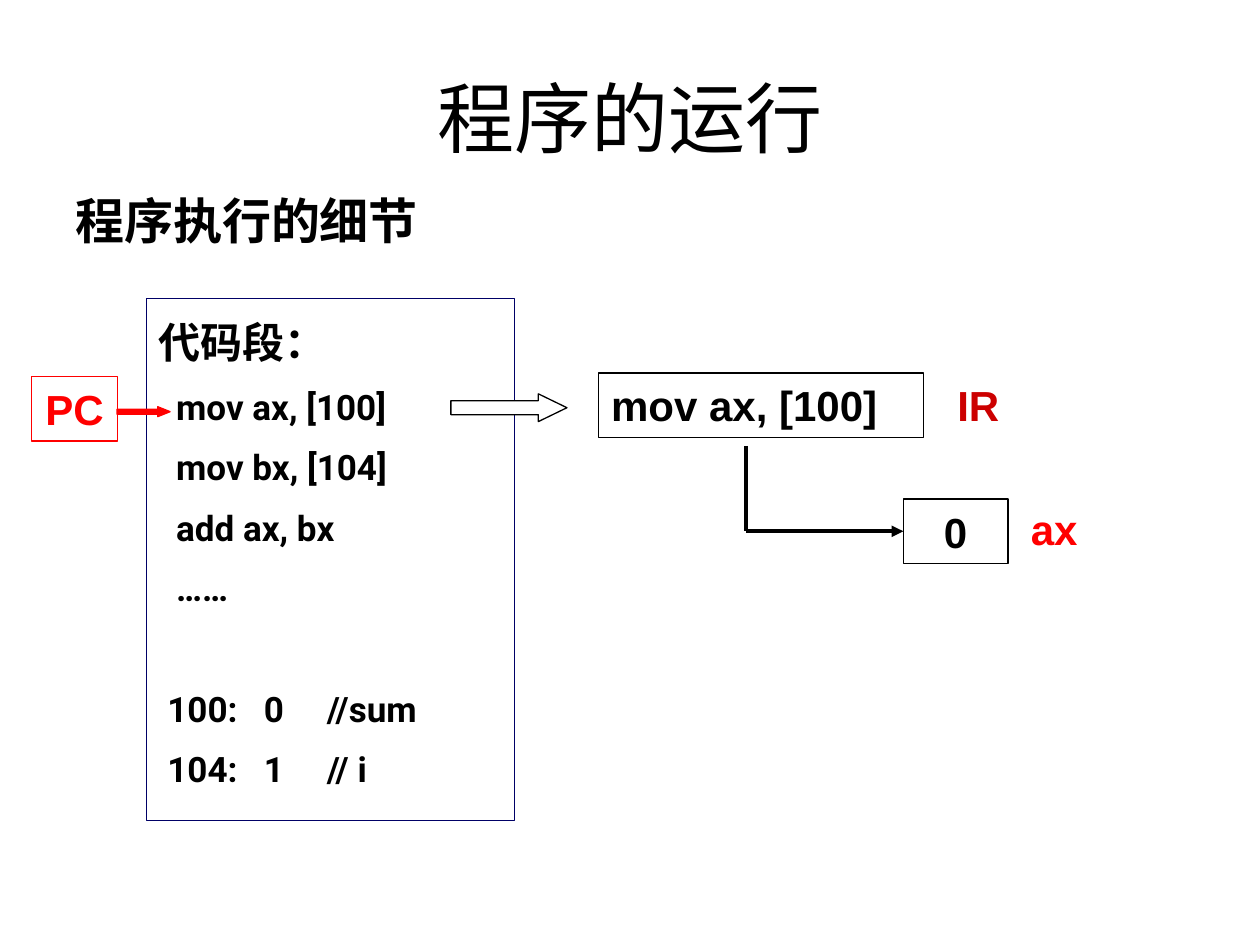
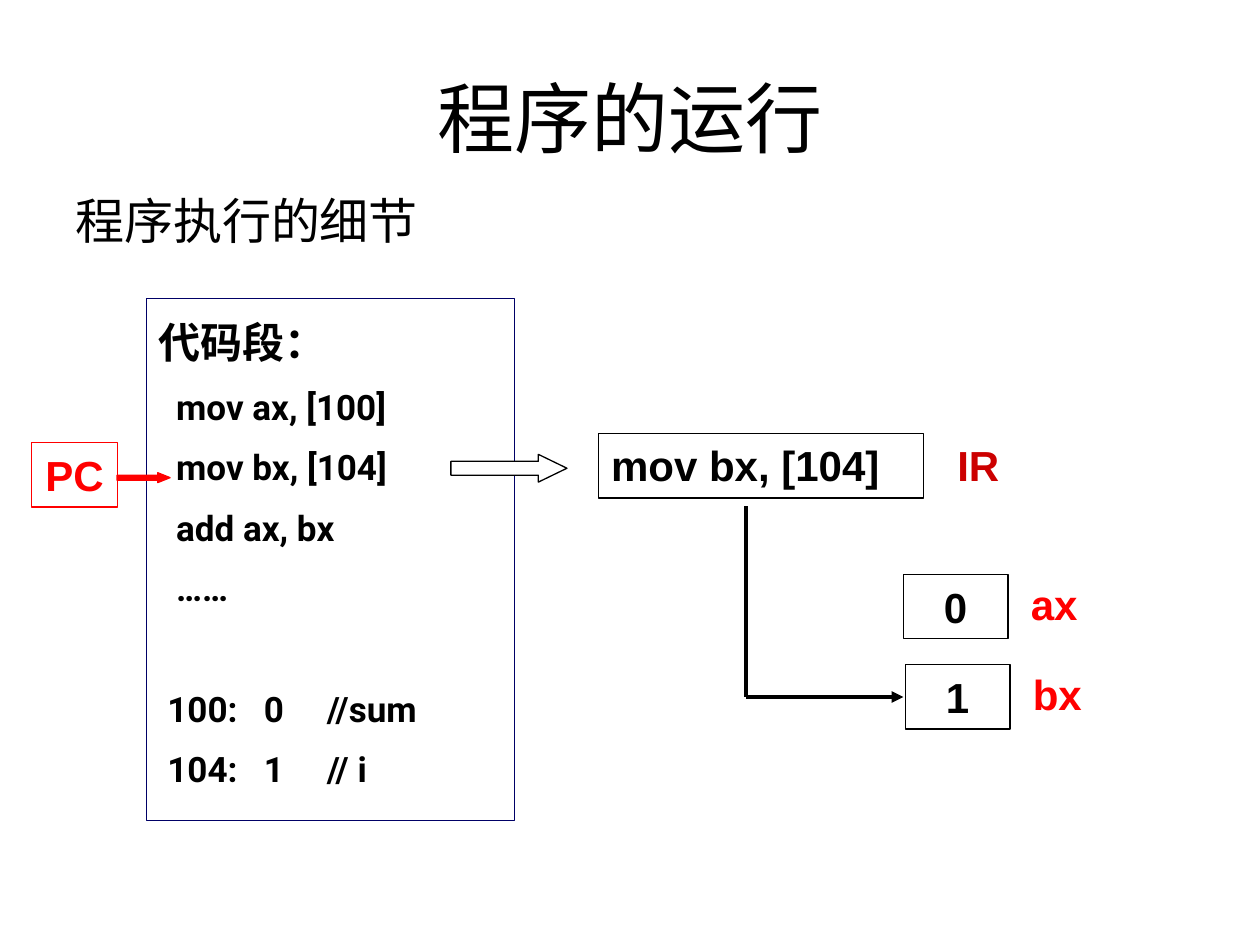
from dataclasses import dataclass

from lxml import etree
from pptx import Presentation, util as u
from pptx.dml.color import RGBColor
from pptx.enum import shapes, text
from pptx.oxml.ns import qn

Cm, Pt = u.Cm, u.Pt
CENTER, LEFT = text.PP_ALIGN.CENTER, text.PP_ALIGN.LEFT
TOP, MIDDLE = text.MSO_ANCHOR.TOP, text.MSO_ANCHOR.MIDDLE


@dataclass(frozen=True)
class Theme:
    black: str = "000000"
    white: str = "FFFFFF"
    navy: str = "000066"
    red: str = "FF0000"
    dark_red: str = "CC0000"
    sans: str = "Arial"
    serif: str = "Times New Roman"
    code: str = "Roboto"
    chinese: str = "Noto Sans CJK SC"
    title_size: int = 44
    subtitle_size: int = 28
    label_size: int = 24
    code_size: int = 20
    thin: float = 0.75
    thick: float = 2.25


THEME = Theme()
BOX_HEIGHT = 1.3
ROW_GAP = 10.6
ROW_PITCH = 34.05
INSTRUCTIONS = ["  mov ax, [100]", "  mov bx, [104]", "  add ax, bx", "  ……"]
MEMORY = [" 100:\t0\t//sum", " 104:\t1\t// i"]
MEMORY_TABS = [2.12, 3.39]


def rgb(value):
    return RGBColor.from_string(value)


def format_runs(paragraph, size, color=THEME.black, font=THEME.sans, bold=True):
    for run in paragraph.runs:
        run.font.size = Pt(size)
        run.font.bold = bold
        run.font.name = font
        run.font.color.rgb = rgb(color)
        east_asian = etree.Element(qn("a:ea"), typeface=THEME.chinese)
        run.font._element.find(qn("a:latin")).addnext(east_asian)


def write(frame, wording, align=LEFT, anchor=TOP, wrap=True,
          size=THEME.label_size, **style):
    frame.word_wrap = wrap
    frame.vertical_anchor = anchor
    frame.text = wording
    frame.paragraphs[0].alignment = align
    format_runs(frame.paragraphs[0], size, **style)


def add_label(slide, wording, left, top, width=2.54, height=1.27, **style):
    label = slide.shapes.add_textbox(Cm(left), Cm(top), Cm(width), Cm(height))
    write(label.text_frame, wording, **style)
    return label


def add_outline(slide, left, top, width, height, line=THEME.black, fill=None,
                kind=shapes.MSO_SHAPE.RECTANGLE):
    outline = slide.shapes.add_shape(kind, Cm(left), Cm(top), Cm(width), Cm(height))
    outline.shadow.inherit = False
    outline.line.color.rgb = rgb(line)
    outline.line.width = Pt(THEME.thin)
    if fill:
        outline.fill.solid()
        outline.fill.fore_color.rgb = rgb(fill)
    else:
        outline.fill.background()
    return outline


def add_block_arrow(slide, left, top, width, height, head, **colors):
    arrow = add_outline(slide, left, top, width, height,
                        kind=shapes.MSO_SHAPE.RIGHT_ARROW, **colors)
    arrow.adjustments[0] = 0.5
    arrow.adjustments[1] = head


def add_line(slide, start, end, arrowhead=False):
    line = slide.shapes.add_connector(
        shapes.MSO_CONNECTOR.STRAIGHT, *(Cm(v) for v in (*start, *end)))
    line.line.color.rgb = rgb(THEME.black)
    line.line.width = Pt(THEME.thick)
    if arrowhead:
        etree.SubElement(line.line._get_or_add_ln(), qn("a:tailEnd"), type="triangle")
    etree.SubElement(line._element.spPr, qn("a:effectLst"))


def add_headings(slide, subtitle_bold):
    add_label(slide, "程序的运行", 1.27, 0.76, 22.86, 3.18, align=CENTER, anchor=MIDDLE,
              size=THEME.title_size, font=THEME.chinese, bold=False)
    add_label(slide, "程序执行的细节", 1.27, 3.63, 22.86, 1.6, anchor=MIDDLE,
              size=THEME.subtitle_size, font=THEME.serif, bold=subtitle_bold)


def add_memory_tabs(paragraph):
    tabs = etree.SubElement(paragraph._p.get_or_add_pPr(), qn("a:tabLst"))
    for position in MEMORY_TABS:
        etree.SubElement(tabs, qn("a:tab"), pos=str(Cm(position)), algn="l")


def add_code_segment(slide):
    add_outline(slide, 2.95, 6.02, 7.42, 10.52, line=THEME.navy, fill=THEME.white)
    frame = add_label(slide, "代码段：", 2.95, 6.25, 8.89, 10.16).text_frame
    for row in INSTRUCTIONS + MEMORY:
        paragraph = frame.add_paragraph()
        paragraph.text = row
        if row in MEMORY:
            add_memory_tabs(paragraph)
        extra = ROW_PITCH if row == MEMORY[0] else 0
        paragraph.space_before = Pt(ROW_GAP + extra)
        format_runs(paragraph, THEME.code_size, font=THEME.code)


def add_program_counter(slide, top):
    counter = add_outline(slide, 0.64, top, 1.73, BOX_HEIGHT, line=THEME.red)
    write(counter.text_frame, "PC", align=CENTER, anchor=MIDDLE, wrap=False,
          color=THEME.red)
    add_block_arrow(slide, 2.36, top + 0.61, 1.07, 0.2, head=1.25,
                    line=THEME.red, fill=THEME.red)


def add_instruction_register(slide, instruction, top):
    add_block_arrow(slide, 9.09, top + 0.42, 2.34, 0.56, head=1.03, fill=THEME.white)
    register = add_outline(slide, 12.07, top, 6.55, BOX_HEIGHT)
    write(register.text_frame, instruction)
    add_label(slide, "IR", 19.05, top, color=THEME.dark_red)


def add_data_register(slide, name, value, top, left=18.21):
    register = add_outline(slide, left, top, 2.11, BOX_HEIGHT)
    write(register.text_frame, value, align=CENTER, anchor=MIDDLE)
    add_label(slide, name, left + 2.32, top - 0.04, color=THEME.red)


def add_load_path(slide, instruction_top, register_top):
    """Elbow from the instruction register to the register it loads."""
    corner = (15.04, register_top + 0.65)
    add_line(slide, (15.04, instruction_top + 1.47), corner)
    add_line(slide, corner, (18.21, corner[1]), arrowhead=True)


def add_step(deck, subtitle_bold, counter_top, instruction, instruction_top, registers):
    """One execution step; the last register is the one being loaded."""
    slide = deck.slides.add_slide(deck.slide_layouts[6])
    add_headings(slide, subtitle_bold)
    add_code_segment(slide)
    add_program_counter(slide, counter_top)
    add_instruction_register(slide, instruction, instruction_top)
    for register in registers:
        add_data_register(slide, *register)
    loaded_top = registers[-1][2]
    add_load_path(slide, instruction_top, loaded_top)


def main():
    deck = Presentation()
    deck.slide_width, deck.slide_height = Cm(25.4), Cm(19.05)
    add_step(deck, True, 7.59, "mov ax, [100]", 7.52, [("ax", "0", 10.06)])
    add_step(deck, False, 8.92, "mov bx, [104]", 8.74,
             [("ax", "0", 11.58), ("bx", "1", 13.4, 18.25)])
    deck.save("out.pptx")


if __name__ == "__main__":
    main()
